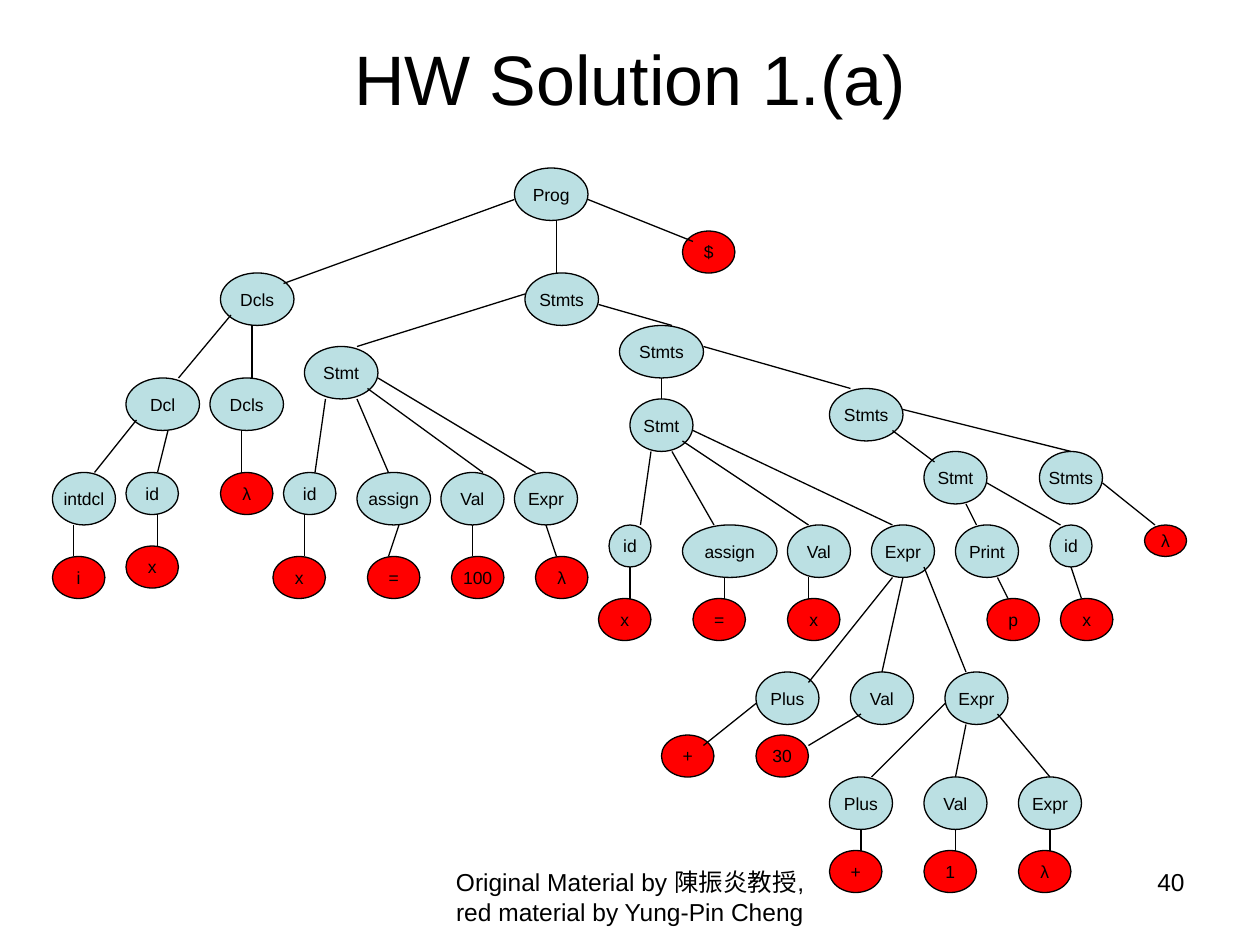
from dataclasses import dataclass

import pptx
import pptx.dml.color
import pptx.enum.shapes
import pptx.enum.text
import pptx.oxml
import pptx.oxml.ns
import pptx.util

EMU_PER_PX = 9525
FONT = "Arial"
BLACK = "000000"
INNER = "BBE0E3"
LEAF = "FF0000"
ALIGN = pptx.enum.text.PP_ALIGN
ANCHOR = pptx.enum.text.MSO_ANCHOR


@dataclass(frozen=True)
class Node:
    label: str
    left: int
    top: int
    width: int = 48
    height: int = 40
    fill: str = INNER


@dataclass(frozen=True)
class Leaf(Node):
    width: int = 40
    height: int = 32
    fill: str = LEAF


@dataclass(frozen=True)
class Edge:
    start_x: int
    start_y: int
    end_x: int
    end_y: int


@dataclass(frozen=True)
class Caption:
    text: str
    left: int
    top: int
    width: int
    height: int
    size: int
    align: ALIGN
    anchor: ANCHOR = ANCHOR.TOP


NODES = [
    Node("Prog", 392, 128, 56),
    Leaf("$", 520, 176),
    Node("Dcls", 168, 208, 56),
    Node("Stmts", 400, 208, 56),
    Node("Stmts", 472, 248, 64),
    Node("Stmt", 232, 264, 56),
    Node("Dcl", 96, 288, 56),
    Node("Dcls", 160, 288, 56),
    Node("Stmts", 632, 296, 56),
    Node("Stmt", 480, 304),
    Node("Stmt", 704, 344),
    Node("Stmts", 792, 344),
    Node("intdcl", 40, 360),
    Node("id", 96, 360, 40, 32),
    Leaf("λ", 168, 360),
    Node("id", 216, 360, 40, 32),
    Node("assign", 272, 360, 56),
    Node("Val", 336, 360),
    Node("Expr", 392, 360),
    Node("id", 464, 400, 32, 32),
    Node("assign", 520, 400, 72),
    Node("Val", 600, 400),
    Node("Expr", 664, 400),
    Node("Print", 728, 400),
    Node("id", 800, 400, 32, 32),
    Leaf("λ", 872, 400, 32, 24),
    Leaf("x", 96, 416),
    Leaf("i", 40, 424),
    Leaf("x", 208, 424),
    Leaf("=", 280, 424),
    Leaf("100", 344, 424),
    Leaf("λ", 408, 424),
    Leaf("x", 456, 456),
    Leaf("=", 528, 456),
    Leaf("x", 600, 456),
    Leaf("p", 752, 456),
    Leaf("x", 808, 456),
    Node("Plus", 576, 512),
    Node("Val", 648, 512),
    Node("Expr", 720, 512),
    Leaf("+", 504, 560),
    Leaf("30", 576, 560),
    Node("Plus", 632, 592),
    Node("Val", 704, 592),
    Node("Expr", 776, 592),
    Leaf("+", 632, 648),
    Leaf("1", 704, 648),
    Leaf("λ", 776, 648),
]

EDGES = [
    Edge(392, 152, 216, 216),
    Edge(424, 168, 424, 208),
    Edge(448, 152, 528, 184),
    Edge(176, 240, 136, 288),
    Edge(192, 248, 192, 288),
    Edge(400, 224, 272, 264),
    Edge(456, 232, 512, 248),
    Edge(104, 320, 72, 360),
    Edge(128, 328, 120, 360),
    Edge(184, 328, 184, 360),
    Edge(56, 400, 56, 424),
    Edge(120, 392, 120, 416),
    Edge(248, 304, 240, 360),
    Edge(272, 304, 296, 360),
    Edge(280, 296, 368, 360),
    Edge(288, 288, 408, 360),
    Edge(232, 392, 232, 424),
    Edge(304, 400, 296, 424),
    Edge(360, 400, 360, 424),
    Edge(416, 400, 424, 424),
    Edge(504, 288, 504, 304),
    Edge(536, 264, 648, 296),
    Edge(496, 344, 488, 400),
    Edge(512, 344, 544, 400),
    Edge(520, 336, 616, 400),
    Edge(528, 328, 680, 400),
    Edge(480, 432, 480, 456),
    Edge(552, 440, 552, 456),
    Edge(616, 440, 616, 456),
    Edge(680, 328, 712, 352),
    Edge(688, 312, 816, 344),
    Edge(736, 384, 744, 400),
    Edge(752, 368, 808, 400),
    Edge(840, 368, 880, 400),
    Edge(760, 440, 768, 456),
    Edge(816, 432, 824, 456),
    Edge(680, 440, 616, 520),
    Edge(688, 440, 672, 512),
    Edge(704, 432, 736, 512),
    Edge(576, 536, 536, 568),
    Edge(656, 544, 616, 568),
    Edge(720, 536, 664, 592),
    Edge(736, 552, 728, 592),
    Edge(760, 544, 800, 592),
    Edge(656, 632, 656, 648),
    Edge(728, 632, 728, 648),
    Edge(800, 632, 800, 648),
]

CAPTIONS = [
    Caption("HW Solution 1.(a)", 48, 29, 864, 60, 40, ALIGN.CENTER, ANCHOR.MIDDLE),
    Caption("Original Material by 陳振炎教授, red material by Yung-Pin Cheng",
            328, 656, 304, 50, 14, ALIGN.CENTER),
    Caption("40", 688, 656, 224, 50, 14, ALIGN.RIGHT),
]


def px(*lengths: int) -> list[pptx.util.Emu]:
    return [pptx.util.Emu(length * EMU_PER_PX) for length in lengths]


def colour(value: str) -> pptx.dml.color.RGBColor:
    return pptx.dml.color.RGBColor.from_string(value)


def apply_format(target, values: dict) -> None:
    for name, value in values.items():
        setattr(target, name, value)


def write_text(box, text: str, size: int, align: ALIGN, frame_format: dict) -> None:
    apply_format(box.text_frame, frame_format)
    para = box.text_frame.paragraphs[0]
    para.alignment = align
    span = para.add_run()
    span.text = text
    apply_format(span.font, {"name": FONT, "size": pptx.util.Pt(size)})
    span.font.color.rgb = colour(BLACK)


def draw_outline(line) -> None:
    line.color.rgb = colour(BLACK)
    line.width = pptx.util.Pt(0.75)


def draw_node(page, node: Node) -> None:
    oval = page.shapes.add_shape(pptx.enum.shapes.MSO_SHAPE.OVAL,
                                 *px(node.left, node.top, node.width, node.height))
    oval.shadow.inherit = False
    oval.fill.solid()
    oval.fill.fore_color.rgb = colour(node.fill)
    draw_outline(oval.line)
    write_text(oval, node.label, 10, ALIGN.CENTER,
               {"word_wrap": False, "vertical_anchor": ANCHOR.MIDDLE})


def draw_edge(page, edge: Edge) -> None:
    branch = page.shapes.add_connector(pptx.enum.shapes.MSO_CONNECTOR.STRAIGHT,
                                       *px(edge.start_x, edge.start_y, edge.end_x, edge.end_y))
    draw_outline(branch.line)
    properties = branch._element.spPr
    properties.append(properties.makeelement(pptx.oxml.ns.qn("a:effectLst"), {}))


def draw_caption(page, caption: Caption) -> None:
    box = page.shapes.add_textbox(*px(caption.left, caption.top, caption.width, caption.height))
    write_text(box, caption.text, caption.size, caption.align,
               {"word_wrap": True, "vertical_anchor": caption.anchor})


def main() -> None:
    deck = pptx.Presentation()
    deck.slide_width, deck.slide_height = px(960, 720)
    page = deck.slides.add_slide(deck.slide_layouts[6])
    for draw, items in ((draw_node, NODES), (draw_edge, EDGES), (draw_caption, CAPTIONS)):
        for item in items:
            draw(page, item)
    deck.save("out.pptx")


if __name__ == "__main__":
    main()
